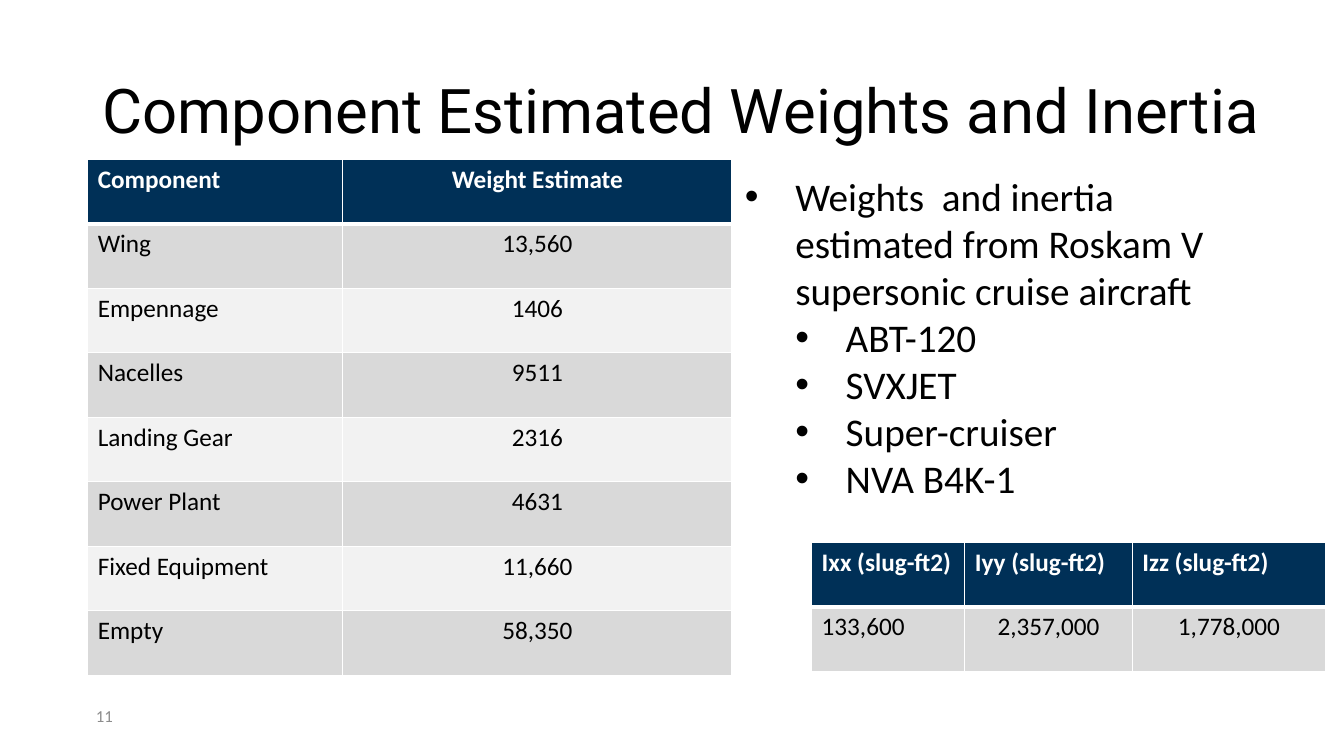
from lxml.etree import SubElement
from pptx import Presentation
from pptx.dml.color import RGBColor
from pptx.enum.text import MSO_ANCHOR, PP_ALIGN
from pptx.oxml import parse_xml
from pptx.oxml.ns import nsdecls, qn
from pptx.util import Pt

SCALE = 9144
NAVY, WHITE, BLACK, GRAY = "003057", "FFFFFF", "000000", "8C8C8C"
BANDS = ("D9D9D9", "F2F2F2")

PARTS = [
    ("Component", "Weight Estimate"),
    ("Wing", "13,560"),
    ("Empennage", "1406"),
    ("Nacelles", "9511"),
    ("Landing Gear", "2316"),
    ("Power Plant", "4631"),
    ("Fixed Equipment", "11,660"),
    ("Empty", "58,350"),
]
INERTIA = [
    ("Ixx (slug-ft2)", "Iyy (slug-ft2)", "Izz (slug-ft2)"),
    ("133,600", "2,357,000", "1,778,000"),
]
NOTES = [
    (0, "Weights  and inertia estimated from Roskam V supersonic cruise aircraft"),
    (1, "ABT-120"),
    (1, "SVXJET"),
    (1, "Super-cruiser"),
    (1, "NVA B4K-1"),
]


def px(num):
    return num * SCALE


def tint(code):
    return RGBColor.from_string(code)


def write(para, text, size=18, font="Calibri", color=BLACK, bold=False,
          center=False, space=None, level=None):
    para.alignment = PP_ALIGN.CENTER if center else PP_ALIGN.LEFT
    if space:
        para.line_spacing = space
    if level is not None:
        para.level = level
        props = para._p.get_or_add_pPr()
        props.set("marL", str(px(50 * (level + 1))))
        props.set("indent", str(px(-50)))
        SubElement(props, qn("a:buFont")).set("typeface", "Arial")
        SubElement(props, qn("a:buChar")).set("char", "•")
    run = para.add_run()
    run.text = text
    run.font.size = Pt(size)
    run.font.name = font
    run.font.bold = bold
    run.font.color.rgb = tint(color)


class Deck:
    """Holds the table style and the current slide."""

    def __init__(self, wide, high):
        self.show = Presentation()
        self.show.slide_width, self.show.slide_height = px(wide), px(high)
        self.slide = self.show.slides.add_slide(self.show.slide_layouts[6])
        self.head, self.bands, self.rule = NAVY, BANDS, WHITE

    def text(self, spot, lines, middle=False, **style):
        box = self.slide.shapes.add_textbox(*map(px, spot))
        frame = box.text_frame
        frame.word_wrap = True
        frame.vertical_anchor = MSO_ANCHOR.MIDDLE if middle else MSO_ANCHOR.TOP
        for num, (level, line) in enumerate(lines):
            para = frame.add_paragraph() if num else frame.paragraphs[0]
            write(para, line, level=level, **style)

    def edge(self, cell, row):
        props = cell._tc.get_or_add_tcPr()
        top, low = (3 if row == 1 else 1), (3 if row == 0 else 1)
        sides = (("L", 1), ("R", 1), ("T", top), ("B", low))
        for spot, (side, width) in enumerate(sides):
            props.insert(spot, parse_xml(
                f'<a:ln{side} {nsdecls("a")} w="{Pt(width)}"><a:solidFill>'
                f'<a:srgbClr val="{self.rule}"/></a:solidFill></a:ln{side}>'))

    def table(self, left, top, cols, high, data, mids):
        """Draws rows of data; mids holds the (header, body) centred columns."""
        size = px(sum(cols)), px(high * len(data))
        grid = self.slide.shapes.add_table(
            len(data), len(cols), px(left), px(top), *size).table
        for col, wide in zip(grid.columns, cols):
            col.width = px(wide)
        for row, words in enumerate(data):
            grid.rows[row].height = px(high)
            first = row == 0
            for col, word in enumerate(words):
                cell = grid.cell(row, col)
                cell.fill.solid()
                shade = self.head if first else self.bands[(row - 1) % 2]
                cell.fill.fore_color.rgb = tint(shade)
                self.edge(cell, row)
                write(cell.text_frame.paragraphs[0], word, bold=first,
                      color=WHITE if first else BLACK,
                      center=col in mids[min(row, 1)])

    def save(self):
        self.show.save("out.pptx")


def main():
    deck = Deck(1333, 750)
    deck.text((92, 40, 1178, 145),
              [(None, "Component Estimated Weights and Inertia")],
              middle=True, size=44, font="Roboto", space=0.9)
    deck.table(87, 158, (253, 386), 64, PARTS, ((1,), (1,)))
    deck.text((729, 166, 543, 340), NOTES, size=28)
    deck.table(805, 538, (152, 166, 192), 64, INERTIA, ((), (1, 2)))
    deck.text((23, 690, 161, 40), [(None, "11")],
              middle=True, size=12, color=GRAY, center=True)
    deck.save()


if __name__ == "__main__":
    main()
